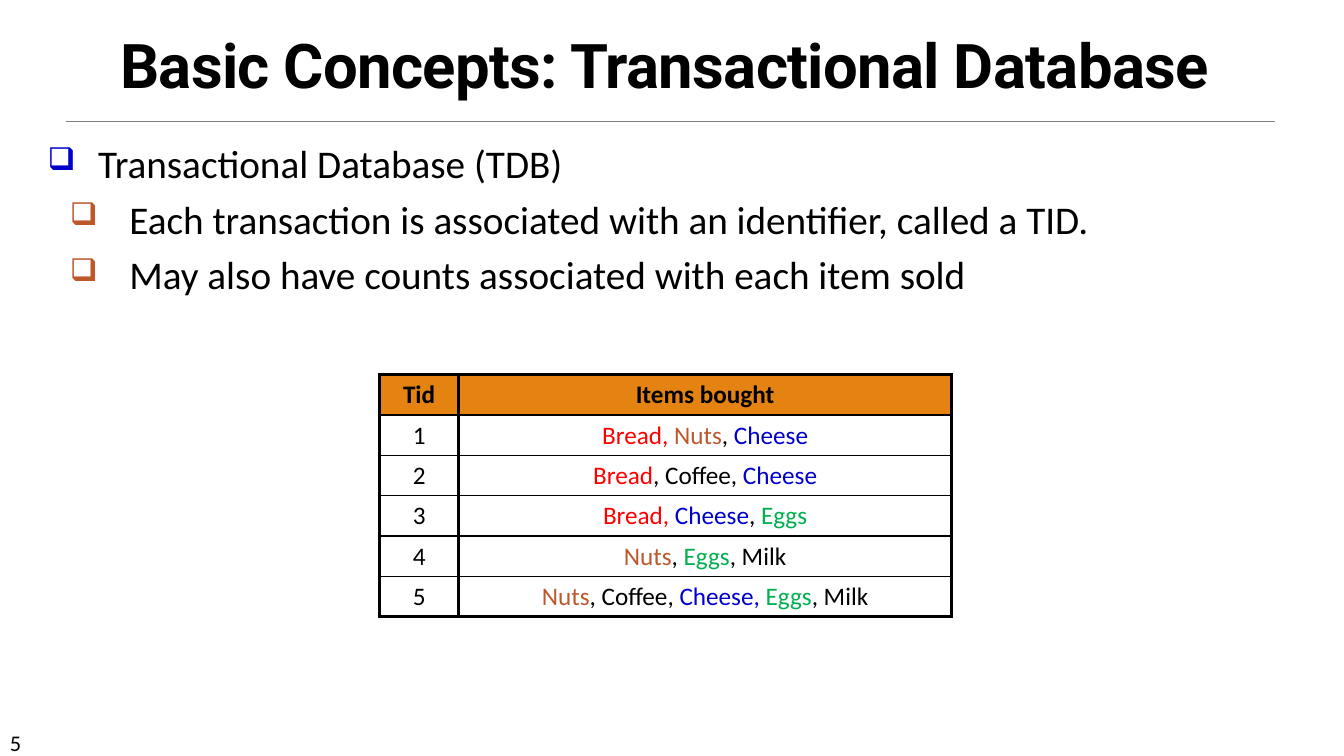
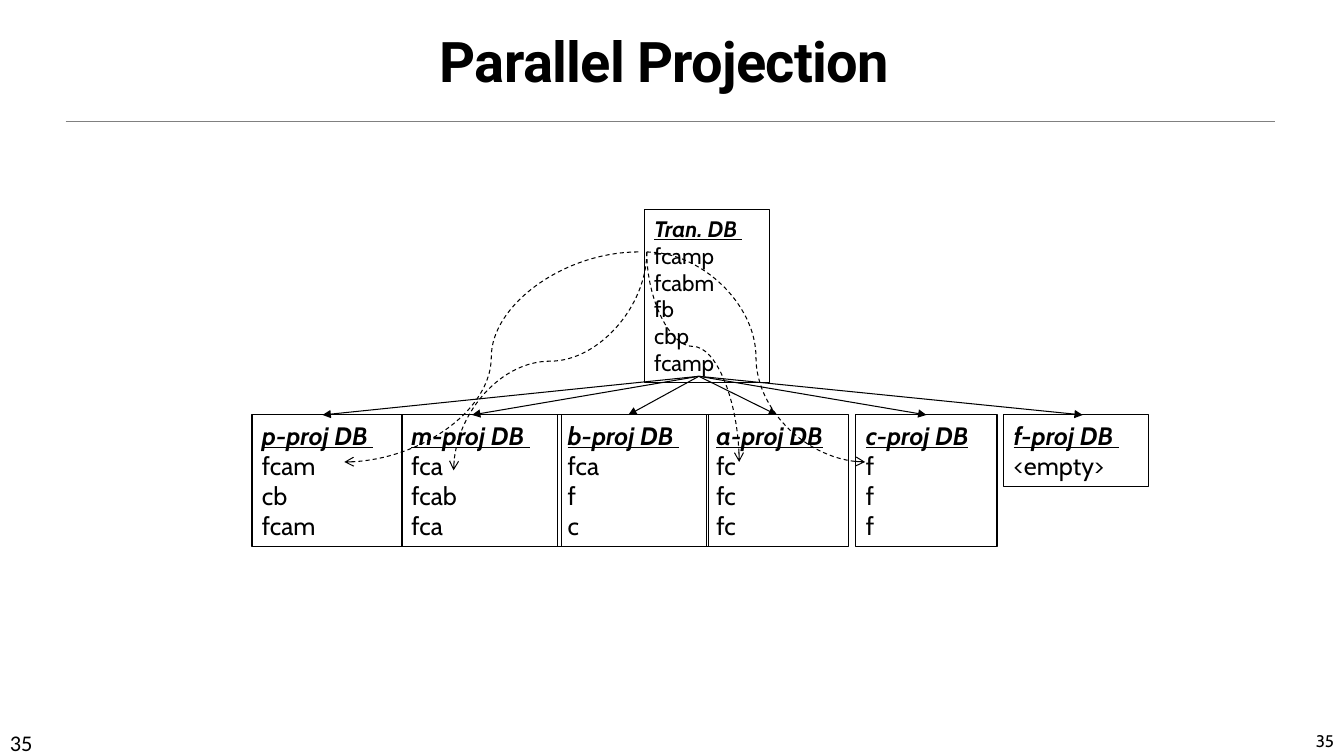
from dataclasses import dataclass
from typing import NamedTuple

from lxml import etree
from pptx import Presentation
from pptx.dml.color import RGBColor
from pptx.enum.dml import MSO_LINE
from pptx.enum.shapes import MSO_CONNECTOR, MSO_SHAPE
from pptx.enum.text import MSO_ANCHOR, PP_ALIGN
from pptx.oxml.ns import qn
from pptx.util import Inches, Pt

STRAIGHT, CURVE = MSO_CONNECTOR.STRAIGHT, MSO_CONNECTOR.CURVE
RECTANGLE = MSO_SHAPE.RECTANGLE
LEFT, CENTER, RIGHT = PP_ALIGN.LEFT, PP_ALIGN.CENTER, PP_ALIGN.RIGHT
TOP, MIDDLE, BOTTOM = MSO_ANCHOR.TOP, MSO_ANCHOR.MIDDLE, MSO_ANCHOR.BOTTOM
DASH = MSO_LINE.DASH

# The slide is a grid of 160 columns by 90 rows, twelve to the inch.
COLUMNS, ROWS, PER_INCH = 160, 90, 12

BLACK, GREY, ORANGE = "000000", "808080", "E48312"
RED, BROWN, BLUE, GREEN = "FF0000", "BD582C", "0000CC", "00B050"
TITLE_FONT, BODY_FONT, DIAGRAM_FONT = "Roboto", "Calibri", "Cabin"


class Area(NamedTuple):
    left: float
    top: float
    width: float
    height: float


class Point(NamedTuple):
    x: float
    y: float


class Run(NamedTuple):
    text: str
    color: str = BLACK


class Bullet(NamedTuple):
    text: str
    color: str
    indent: float
    hanging: float
    level: int = 0


@dataclass
class Database:
    heading: str
    rows: list[str]
    left: float
    width: float
    arrow_x: float


@dataclass
class Curve:
    start: Point
    end: Point
    vertical: bool = False
    bend: float = 0.5


TITLE = Area(4.5, 2.9, 149.2, 9.7)
BODY = Area(4.5, 16, 149.6, 70.7)
RULE = (Point(7.8, 14.4), Point(151.8, 14.4))
PAGE_NUMBER = Area(0, 86.2, 14, 3.6)
CORNER_NUMBER = Area(135, 85, 25, 5)

BULLETS = [
    Bullet("Transactional Database (TDB)", BLUE, 0.5, 0.5),
    Bullet("Each\u00a0transaction is associated with an identifier, called a TID.".replace("\u00a0", " "),
           BROWN, 0.81, 0.59, 1),
    Bullet("May also have counts associated with each item sold", BROWN, 0.81, 0.59, 1),
]

TRANSACTIONS = [
    [Run("Bread, ", RED), Run("Nuts", BROWN), Run(", "), Run("Cheese", BLUE)],
    [Run("Bread", RED), Run(", Coffee, "), Run("Cheese", BLUE)],
    [Run("Bread, ", RED), Run("Cheese", BLUE), Run(", "), Run("Eggs", GREEN)],
    [Run("Nuts", BROWN), Run(", "), Run("Eggs", GREEN), Run(", Milk")],
    [Run("Nuts", BROWN), Run(", Coffee, "), Run("Cheese, ", BLUE), Run("Eggs", GREEN), Run(", Milk")],
]
TABLE_AT = Point(45.2, 44.6)
TABLE_COLUMNS = (9.4, 58.7)
TABLE_ROW = 4.8
THICK, THIN = 2.25, 1

SOURCE = Area(76.7, 25, 14.9, 20.6)
SOURCE_ROWS = ["fcamp", "fcabm", "fb", "cbp", "fcamp"]
PROJECTION_TOP, PROJECTION_LINE, PROJECTION_PADDING = 49.4, 3.6, 1.3
FAN_START = Point(83.2, 44.8)
PROJECTIONS = [
    Database("p-proj DB ", ["fcam", "cb", "fcam"], 30, 17.9, 38.4),
    Database("m-proj DB ", ["fca", "fcab", "fca"], 47.8, 19, 56.2),
    Database("b-proj DB ", ["fca", "f", "c"], 66.4, 18, 74.8),
    Database("a-proj DB", ["fc", "fc", "fc"], 84.1, 16.9, 92.5),
    Database("c-proj DB", ["f", "f", "f"], 101.9, 16.8, 110.3),
    Database("f-proj DB ", ["<empty>"], 119.5, 17.2, 128.9),
]
CURVES = [
    Curve(Point(76, 30), Point(41, 55)),
    Curve(Point(77, 30), Point(54, 56), vertical=True),
    Curve(Point(77, 30), Point(88, 55), vertical=True, bend=0.45),
    Curve(Point(77, 30), Point(103, 55)),
]


def grid(*counts: float) -> list[int]:
    """Turn counts of grid cells into lengths."""
    return [Inches(count / PER_INCH) for count in counts]


def rgb(color: str) -> RGBColor:
    return RGBColor.from_string(color)


def add_element(parent, tag: str, **attributes: str):
    return etree.SubElement(parent, qn(tag), attributes)


def write(paragraph, runs: list[Run], *, size: float, font: str, bold: bool = False,
          italic: bool = False, underline: bool = False, align=LEFT,
          line_spacing: float | None = None, before: float | None = None,
          tracking: float | None = None) -> None:
    """Fill a paragraph with runs that share one format."""
    paragraph.alignment = align
    if line_spacing is not None:
        paragraph.line_spacing = line_spacing
    if before is not None:
        paragraph.space_before = Pt(before)
    for text, color in runs:
        run = paragraph.add_run()
        run.text = text
        run.font.size, run.font.name = Pt(size), font
        run.font.bold, run.font.italic, run.font.underline = bold, italic, underline
        run.font.color.rgb = rgb(color)
        if tracking is not None:
            run.font._element.set("spc", str(round(tracking * 100)))


def next_paragraph(frame, index: int):
    return frame.add_paragraph() if index else frame.paragraphs[0]


def add_text_frame(slide, area: Area, anchor=TOP):
    frame = slide.shapes.add_textbox(*grid(*area)).text_frame
    frame.word_wrap = True
    frame.vertical_anchor = anchor
    return frame


def add_line(slide, start: Point, end: Point, *, kind=STRAIGHT, color: str = BLACK,
             width: float = 0.75, dash=None, arrow: str | None = None):
    line = slide.shapes.add_connector(kind, *grid(*start, *end))
    line.line.color.rgb = rgb(color)
    line.line.width = Pt(width)
    if dash is not None:
        line.line.dash_style = dash
    if arrow:
        add_element(line.line._get_or_add_ln(), "a:tailEnd", type=arrow)
    add_element(line._element.spPr, "a:effectLst")
    return line


def add_curve(slide, curve: Curve) -> None:
    """Draw a dashed S-curve; a vertical one is turned about its centre."""
    start, end, turn = curve.start, curve.end, 0
    if curve.vertical:
        center = Point((start.x + end.x) / 2, (start.y + end.y) / 2)
        dx, dy = end.x - center.x, end.y - center.y
        side = 1 if dx < 0 else -1
        turn = 90 if dx < 0 else 270
        start = Point(center.x - side * dy, center.y + side * dx)
        end = Point(center.x + side * dy, center.y - side * dx)
    line = add_line(slide, start, end, kind=CURVE, dash=DASH, arrow="arrow")
    properties = line._element.spPr
    if turn:
        properties.find(qn("a:xfrm")).set("rot", str(turn * 60000))
    geometry = properties.find(qn("a:prstGeom"))
    adjustments = geometry.find(qn("a:avLst"))
    if adjustments is None:
        adjustments = add_element(geometry, "a:avLst")
    add_element(adjustments, "a:gd", name="adj1", fmla=f"val {round(curve.bend * 100000)}")


def start_slide(deck, title: str, number: str, *, title_size: float, anchor):
    """Add a blank slide with the shared rule, page number and title."""
    slide = deck.slides.add_slide(deck.slide_layouts[6])
    add_line(slide, *RULE, color=GREY, width=0.5)
    page = add_text_frame(slide, PAGE_NUMBER)
    write(page.paragraphs[0], [Run(number)], size=16, font=BODY_FONT)
    heading = add_text_frame(slide, TITLE, anchor)
    write(heading.paragraphs[0], [Run(title)], size=title_size, font=TITLE_FONT, bold=True,
          align=CENTER, line_spacing=0.85, tracking=-0.5)
    return slide


def add_bullets(slide) -> None:
    frame = add_text_frame(slide, BODY)
    for index, bullet in enumerate(BULLETS):
        paragraph = next_paragraph(frame, index)
        paragraph.level = bullet.level
        properties = paragraph._p.get_or_add_pPr()
        properties.set("marL", str(Inches(bullet.indent)))
        properties.set("indent", str(-Inches(bullet.hanging)))
        add_element(add_element(properties, "a:buClr"), "a:srgbClr", val=bullet.color)
        add_element(properties, "a:buSzPct", val="80000")
        add_element(properties, "a:buChar", char="❑")
        write(paragraph, [Run(bullet.text)], size=28, font=BODY_FONT,
              before=6 if index else None)


def set_borders(cell, top: float, bottom: float) -> None:
    properties = cell._tc.get_or_add_tcPr()
    for side, width in (("L", THICK), ("R", THICK), ("T", top), ("B", bottom)):
        border = add_element(properties, f"a:ln{side}", w=str(Pt(width)))
        add_element(add_element(border, "a:solidFill"), "a:srgbClr", val=BLACK)


def add_transactions(slide) -> None:
    rows = [[[Run("Tid")], [Run("Items bought")]]]
    rows += [[[Run(str(tid))], items] for tid, items in enumerate(TRANSACTIONS, 1)]
    count = len(rows)
    table = slide.shapes.add_table(
        count, len(TABLE_COLUMNS),
        *grid(*TABLE_AT, sum(TABLE_COLUMNS), count * TABLE_ROW)).table
    table.first_row = table.horz_banding = False
    for column, width in zip(table.columns, grid(*TABLE_COLUMNS)):
        column.width = width
    edges = [THICK, THICK] + [THIN] * (count - 2) + [THICK]
    for r, row in enumerate(rows):
        table.rows[r].height = grid(TABLE_ROW)[0]
        for c, runs in enumerate(row):
            cell = table.cell(r, c)
            cell.margin_left = cell.margin_right = Inches(0.13)
            cell.margin_top = cell.margin_bottom = Inches(0.05)
            set_borders(cell, edges[r], edges[r + 1])
            if r:
                cell.fill.background()
            else:
                cell.fill.solid()
                cell.fill.fore_color.rgb = rgb(ORANGE)
            write(cell.text_frame.paragraphs[0], runs, size=18, font=BODY_FONT,
                  bold=r == 0, align=CENTER)


def add_database(slide, area: Area, heading: str, rows: list[str], size: float) -> None:
    box = slide.shapes.add_shape(RECTANGLE, *grid(*area))
    box.shadow.inherit = False
    box.fill.background()
    box.line.color.rgb = rgb(BLACK)
    box.line.width = Pt(0.75)
    frame = box.text_frame
    frame.word_wrap = True
    frame.vertical_anchor = TOP
    for index, text in enumerate([heading, *rows]):
        top = index == 0
        write(next_paragraph(frame, index), [Run(text)], size=size, font=DIAGRAM_FONT,
              bold=top, italic=top, underline=top)


def build_database_slide(deck) -> None:
    slide = start_slide(deck, "Basic Concepts: Transactional Database", "5",
                        title_size=44, anchor=BOTTOM)
    add_bullets(slide)
    add_transactions(slide)


def build_projection_slide(deck) -> None:
    slide = start_slide(deck, "Parallel Projection", "35", title_size=40, anchor=MIDDLE)
    corner = add_text_frame(slide, CORNER_NUMBER, BOTTOM)
    write(corner.paragraphs[0], [Run("35")], size=12, font=DIAGRAM_FONT, align=RIGHT)
    add_database(slide, SOURCE, "Tran. DB ", SOURCE_ROWS, 16)
    for database in PROJECTIONS:
        height = PROJECTION_PADDING + PROJECTION_LINE * (len(database.rows) + 1)
        area = Area(database.left, PROJECTION_TOP, database.width, height)
        add_database(slide, area, database.heading, database.rows, 18)
        add_line(slide, FAN_START, Point(database.arrow_x, PROJECTION_TOP), arrow="triangle")
    for curve in CURVES:
        add_curve(slide, curve)


def main() -> None:
    deck = Presentation()
    deck.slide_width, deck.slide_height = grid(COLUMNS, ROWS)
    build_database_slide(deck)
    build_projection_slide(deck)
    deck.save("out.pptx")


if __name__ == "__main__":
    main()
